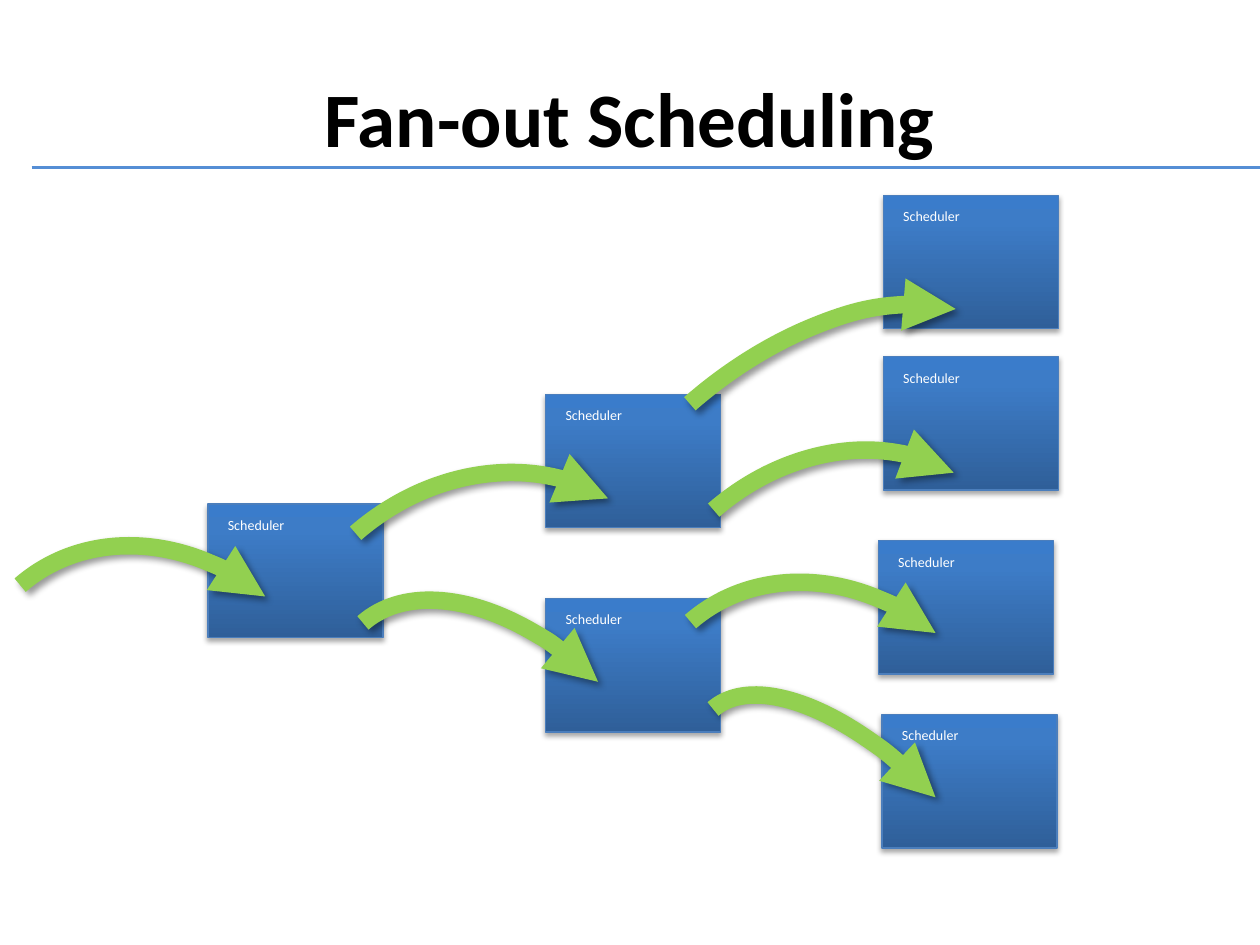
"""Build the fan-out scheduling slide: a tree of schedulers linked by curved arrows."""
from copy import deepcopy
from dataclasses import dataclass

from lxml import etree
from pptx import Presentation
from pptx.dml.color import RGBColor
from pptx.enum.shapes import MSO_CONNECTOR, MSO_SHAPE
from pptx.enum.text import MSO_ANCHOR, MSO_AUTO_SIZE, PP_ALIGN
from pptx.oxml.ns import qn
from pptx.util import Inches, Pt

RECT, ARC = MSO_SHAPE.RECTANGLE, MSO_SHAPE.ARC
STRAIGHT = MSO_CONNECTOR.STRAIGHT


@dataclass(frozen=True)
class Theme:
    font: str = "Calibri"
    title_size: float = 44
    label_size: float = 8
    title: str = "000000"
    label: str = "FFFFFF"
    rule: str = "558ED5"
    border: str = "4B7EBC"
    arrow: str = "92D050"
    shadow: str = "000000"
    gradient: tuple = ((0, "2F5F99"), (0.8, "3D7CC7"), (1, "3A7CCB"))


THEME = Theme()
TITLE = "Fan-out Scheduling"
LABEL = "Scheduler"
WIDTH, HEIGHT = 10, 7.5
FIRST_COLUMN, COLUMN_STEP = 1.65, 2.68
BOX_SIZE = (1.39, 1.06)
LABEL_OFFSET, LABEL_SIZE = (0.06, 0.05), (0.66, 0.24)
ARROW_TURN, ARROW_END = 318.9, 207.99
BOX_SHADOW = (35, 3.1, 1.8, 90)
ARROW_SHADOW = (40, 4, 3, 45)

SCHEDULERS = [
    {"column": 0, "shift": 0, "top": 4, "arrow": (-0.17, 4.23, 2.87, 3.36)},
    {"column": 1, "shift": 0, "top": 4.75, "arrow": (2.98, 4.49, 2.22, 3.68)},
    {"column": 1, "shift": 0, "top": 3.13, "arrow": (2.06, 3.86, 3.51, 3.02)},
    {"column": 2, "shift": 0, "top": 1.55, "arrow": (4.09, 2.88, 4.5, 2.63)},
    {"column": 2, "shift": 0, "top": 2.83, "arrow": (4.9, 3.7, 3.39, 2.83)},
    {"column": 2, "shift": -0.04, "top": 4.29, "arrow": (5.15, 4.52, 2.87, 3.36)},
    {"column": 2, "shift": -0.01, "top": 5.67, "arrow": (6.03, 5.16, 1.75, 3.79)},
]


def rgb(value):
    return RGBColor.from_string(value)


def inches(*lengths):
    return [Inches(length) for length in lengths]


def set_line(line, color, width):
    line.color.rgb = rgb(color)
    line.width = Pt(width)


def set_font(paragraph, size, color, bold=False):
    font = paragraph.font
    font.name, font.size, font.bold = THEME.font, Pt(size), bold
    font.color.rgb = rgb(color)


def cast_shadow(shape, alpha, blur, distance, angle):
    shape.shadow.inherit = False
    effects = shape._element.spPr.find(qn("a:effectLst"))
    shadow = etree.SubElement(
        effects, qn("a:outerShdw"), blurRad=str(Pt(blur)), dist=str(Pt(distance)),
        dir=str(angle * 60000), rotWithShape="0")
    color = etree.SubElement(shadow, qn("a:srgbClr"), val=THEME.shadow)
    etree.SubElement(color, qn("a:alpha"), val=str(alpha * 1000))


def fill_gradient(shape):
    shape.fill.gradient()
    shape.fill.gradient_angle = 90
    stops = shape._element.spPr.find(".//" + qn("a:gsLst"))
    stops.append(deepcopy(stops[0]))
    for stop, (position, color) in zip(shape.fill.gradient_stops, THEME.gradient):
        stop.position = position
        stop.color.rgb = rgb(color)


def add_title(slide):
    title = slide.shapes.title
    title.left, title.top, title.width, title.height = inches(0.5, 0.3, 9, 1.25)
    title.text_frame.text = TITLE
    title.text_frame.vertical_anchor = MSO_ANCHOR.MIDDLE
    heading = title.text_frame.paragraphs[0]
    heading.alignment = PP_ALIGN.CENTER
    set_font(heading, THEME.title_size, THEME.title, bold=True)
    rule = slide.shapes.add_connector(STRAIGHT, *inches(0.25, 1.33, WIDTH, 1.33))
    set_line(rule.line, THEME.rule, 2)
    etree.SubElement(rule._element.spPr, qn("a:effectLst"))


def add_scheduler(slide, column, shift, top, arrow):
    group = slide.shapes.add_group_shape().shapes
    left = FIRST_COLUMN + column * COLUMN_STEP + shift

    box = group.add_shape(RECT, *inches(left, top, *BOX_SIZE))
    fill_gradient(box)
    set_line(box.line, THEME.border, 0.75)
    cast_shadow(box, *BOX_SHADOW)

    dx, dy = LABEL_OFFSET
    label = group.add_textbox(*inches(left + dx, top + dy, *LABEL_SIZE)).text_frame
    label.text = LABEL
    label.word_wrap = False
    label.auto_size = MSO_AUTO_SIZE.SHAPE_TO_FIT_TEXT
    set_font(label.paragraphs[0], THEME.label_size, THEME.label)

    curve = group.add_shape(ARC, *inches(*arrow))
    curve.adjustments[1] = ARROW_END
    curve.rotation = ARROW_TURN
    curve.fill.background()
    set_line(curve.line, THEME.arrow, 10)
    etree.SubElement(curve.line._get_or_add_ln(), qn("a:tailEnd"), type="triangle")
    cast_shadow(curve, *ARROW_SHADOW)


def main():
    deck = Presentation()
    deck.slide_width, deck.slide_height = inches(WIDTH, HEIGHT)
    slide = deck.slides.add_slide(deck.slide_layouts.get_by_name("Title Only"))
    add_title(slide)
    for scheduler in SCHEDULERS:
        add_scheduler(slide, **scheduler)
    deck.save("out.pptx")


if __name__ == "__main__":
    main()
